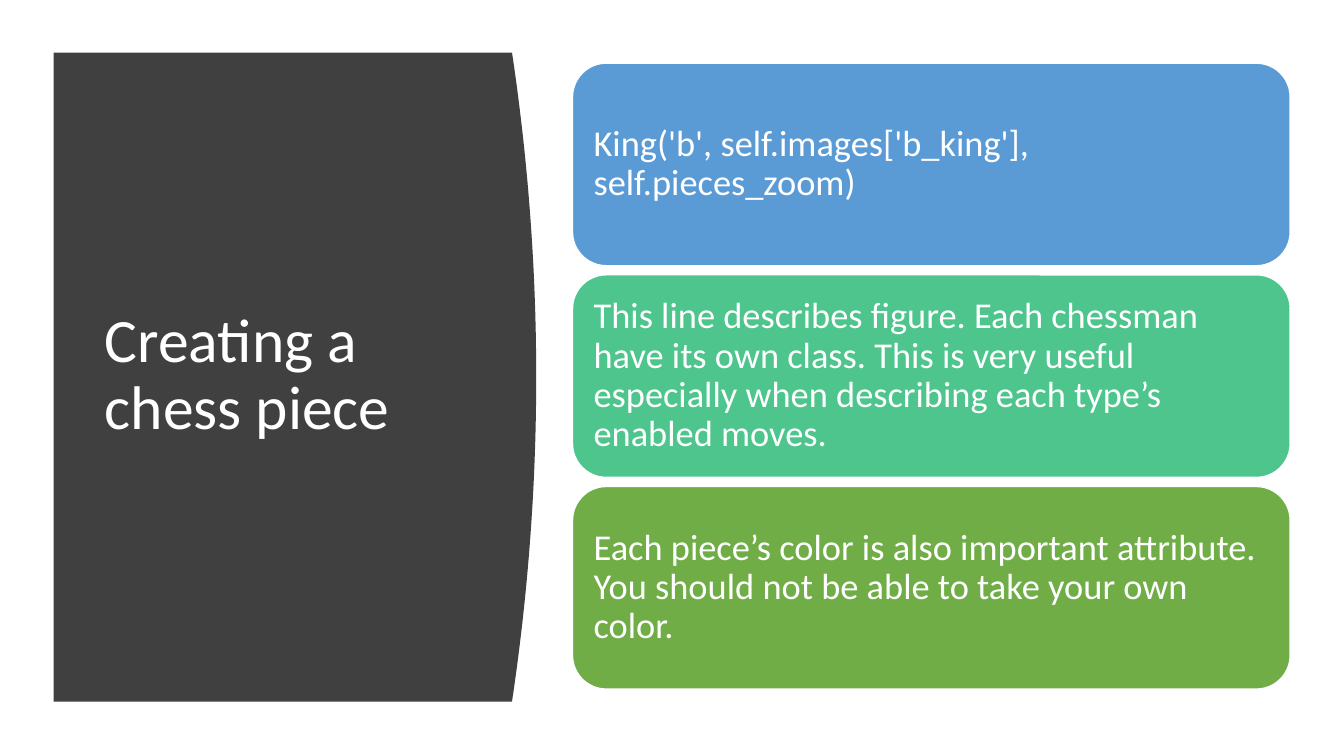
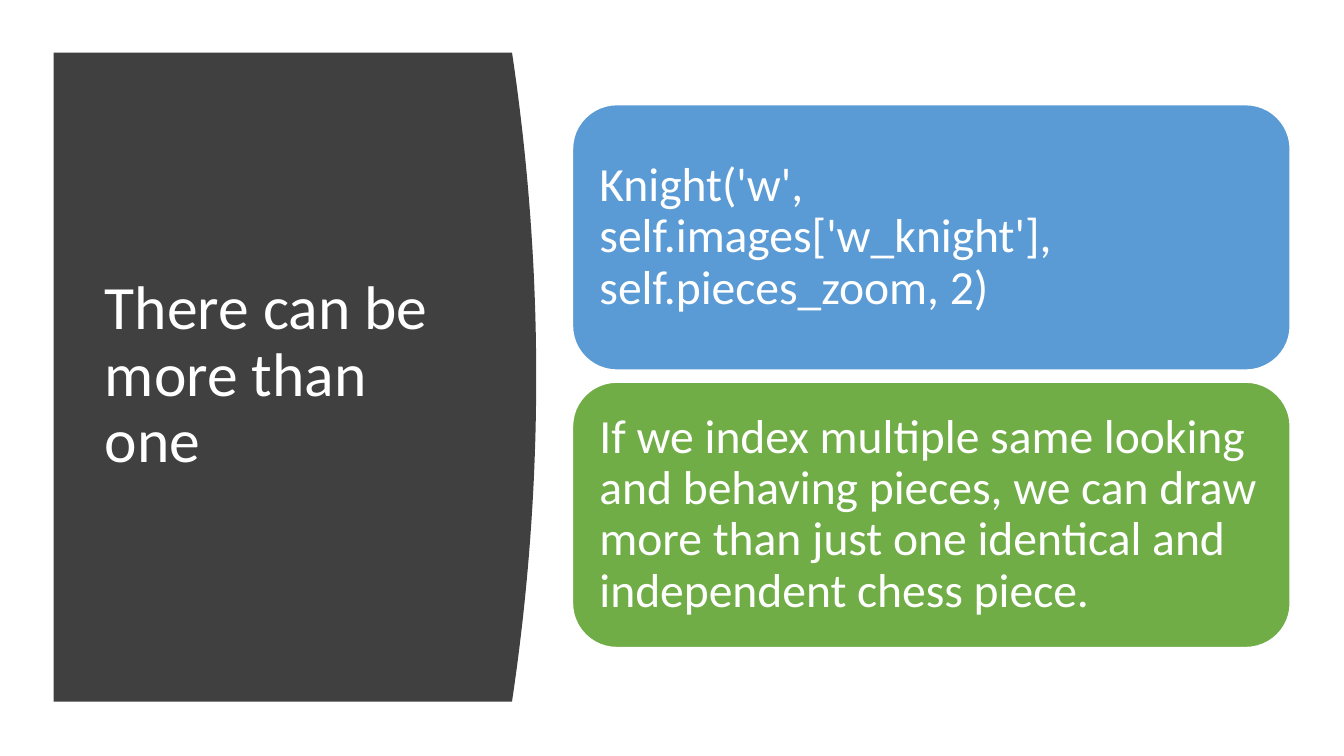
from dataclasses import dataclass

from pptx import Presentation
from pptx.dml.color import RGBColor
from pptx.enum.shapes import MSO_SHAPE
from pptx.enum.text import MSO_ANCHOR, MSO_AUTO_SIZE, PP_ALIGN
from pptx.presentation import Presentation as Deck
from pptx.shapes.autoshape import Shape
from pptx.slide import Slide
from pptx.text.text import TextFrame
from pptx.util import Inches, Pt

ROUNDED = MSO_SHAPE.ROUNDED_RECTANGLE
MIDDLE = MSO_ANCHOR.MIDDLE
LEFT = PP_ALIGN.LEFT
NO_AUTOFIT = MSO_AUTO_SIZE.NONE

COLORS = {
    "white": "FFFFFF",
    "panel": "404040",
    "blue": "5B9BD5",
    "teal": "4DC58D",
    "green": "70AD47",
}
FONT = "Calibri"
TITLE_SIZE = 44
LINE_SPACING = 0.9
TITLE_ONLY = 5

# Grid of 100 columns by 100 rows
SLIDE_W, SLIDE_H = Inches(13.333), Inches(7.5)
COLUMN, ROW = SLIDE_W / 100, SLIDE_H / 100
CARD_LEFT, CARD_WIDTH = 42.6, 53.4
STACK_CENTER = 49.75
CURVE_STEPS = 40


@dataclass(frozen=True)
class Area:
    left: float
    top: float
    width: float
    height: float

    def emu(self) -> tuple[int, int, int, int]:
        return (round(self.left * COLUMN), round(self.top * ROW),
                round(self.width * COLUMN), round(self.height * ROW))


@dataclass(frozen=True)
class Card:
    text: str
    color: str


@dataclass(frozen=True)
class Topic:
    title: str
    cards: tuple[Card, ...]
    card_height: float
    gap: float
    text_size: int
    inset: int


PANEL = Area(4, 6.95, 34.1, 85.85)
PANEL_BULGE = 1.8
TITLE = Area(7.05, 14.8, 28.05, 69.9)

TOPICS = (
    Topic("Creating a chess piece", (
        Card("King('b', self.images['b_king'], self.pieces_zoom)", "blue"),
        Card("This line describes figure. Each chessman have its own class. "
             "This is very useful especially when describing each type’s "
             "enabled moves.", "teal"),
        Card("Each piece’s color is also important attribute. You should not "
             "be able to take your own color.", "green"),
    ), card_height=26.8, gap=1.2, text_size=26, inset=8),
    Topic("There can be more than one", (
        Card("Knight('w', self.images['w_knight'], self.pieces_zoom, 2)", "blue"),
        Card("If we index multiple same looking and behaving pieces, we can "
             "draw more than just one identical and independent chess piece.",
             "green"),
    ), card_height=35.1, gap=1.6, text_size=34, inset=10),
)


def rgb(name: str) -> RGBColor:
    return RGBColor.from_string(COLORS[name])


def write(frame: TextFrame, text: str, size: int) -> None:
    frame.word_wrap = True
    frame.auto_size = NO_AUTOFIT
    frame.vertical_anchor = MIDDLE
    paragraph = frame.paragraphs[0]
    paragraph.alignment = LEFT
    paragraph.line_spacing = LINE_SPACING
    run = paragraph.add_run()
    run.text = text
    run.font.name = FONT
    run.font.size = Pt(size)
    run.font.color.rgb = rgb("white")


def fill(shape: Shape, color: str) -> None:
    shape.shadow.inherit = False
    shape.fill.solid()
    shape.fill.fore_color.rgb = rgb(color)


def add_panel(slide: Slide) -> Shape:
    """Dark panel whose right edge bows outwards along a parabola."""
    left, top, width, height = PANEL.emu()
    edge = []
    for step in range(CURVE_STEPS + 1):
        share = step / CURVE_STEPS
        bow = PANEL_BULGE * COLUMN * 4 * share * (1 - share)
        edge.append((round(left + width + bow), round(top + height * share)))
    outline = slide.shapes.build_freeform(left, top)
    outline.add_line_segments([*edge, (left, top + height)], close=True)
    panel = outline.convert_to_shape()
    fill(panel, "panel")
    panel.line.fill.background()
    return panel


def add_title(slide: Slide, text: str) -> None:
    title = slide.shapes.title
    title.left, title.top, title.width, title.height = TITLE.emu()
    write(title.text_frame, text, TITLE_SIZE)


def add_cards(slide: Slide, topic: Topic) -> None:
    pitch = topic.card_height + topic.gap
    first_top = STACK_CENTER - (len(topic.cards) * pitch - topic.gap) / 2
    for index, card in enumerate(topic.cards):
        area = Area(CARD_LEFT, first_top + index * pitch, CARD_WIDTH, topic.card_height)
        box = slide.shapes.add_shape(ROUNDED, *area.emu())
        fill(box, card.color)
        box.line.color.rgb = rgb("white")
        box.line.width = Pt(1)
        frame = box.text_frame
        frame.margin_left = frame.margin_right = Pt(topic.inset)
        frame.margin_top = frame.margin_bottom = Pt(topic.inset)
        write(frame, card.text, topic.text_size)


def add_topic(deck: Deck, topic: Topic) -> None:
    slide = deck.slides.add_slide(deck.slide_layouts[TITLE_ONLY])
    panel = add_panel(slide)
    add_title(slide, topic.title)
    # The panel lies behind the title
    slide.shapes.title.element.addprevious(panel.element)
    add_cards(slide, topic)


def main() -> None:
    deck = Presentation()
    deck.slide_width, deck.slide_height = SLIDE_W, SLIDE_H
    for topic in TOPICS:
        add_topic(deck, topic)
    deck.save("out.pptx")


if __name__ == "__main__":
    main()
